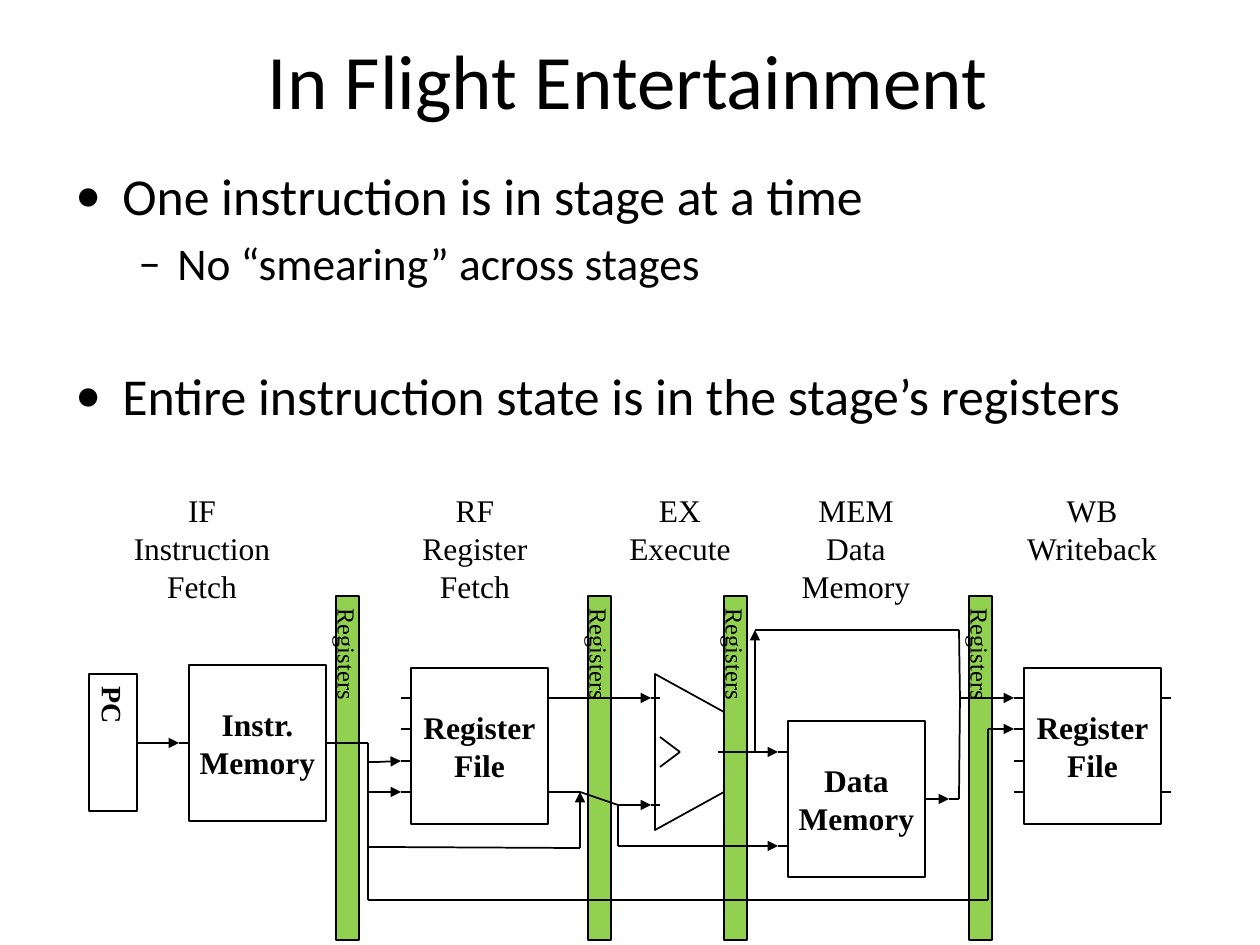
from dataclasses import dataclass
from itertools import pairwise

from lxml import etree
from pptx import Presentation
from pptx.dml.color import RGBColor
from pptx.enum.shapes import MSO_CONNECTOR, MSO_SHAPE
from pptx.enum.text import MSO_ANCHOR, MSO_AUTO_SIZE, PP_ALIGN
from pptx.oxml.ns import qn
from pptx.util import Emu, Pt

SCALE = 914400 / 126
BLACK, WHITE, GREEN = "000000", "FFFFFF", "92D050"
SERIF, SANS = "Times New Roman", "Calibri"
STUB = 10


@dataclass(frozen=True)
class Block:
    """A box of the datapath and the heights of its ports."""
    text: str
    left: int
    top: int
    inputs: tuple[int, ...] = ()
    outputs: tuple[int, ...] = ()
    width: int = 137
    height: int = 156
    size: int = 18
    fill: str = WHITE
    bold: bool = True
    vertical: bool = False


@dataclass(frozen=True)
class Route:
    """A wire through several points, with an optional arrowhead at its end."""
    points: tuple[tuple[int, int], ...]
    arrow: bool = True


@dataclass(frozen=True)
class StageLabel:
    """The heading of a pipeline stage."""
    text: str
    left: int
    width: int


@dataclass(frozen=True)
class Bullet:
    """One bulleted line; indents in pixels, sizes in points."""
    text: str
    mark: str
    size: float
    margin: int
    hanging: int
    before: float


REGISTER_BARS = [Block("Registers", x, 596, width=23, height=344, size=14,
                       fill=GREEN, bold=False, vertical=True)
                 for x in (336, 588, 724, 969)]
FILE_INPUTS, FILE_OUTPUTS = (698, 729, 761, 792), (698, 792)
BLOCKS = [
    Block("PC", 89, 674, outputs=(743,), width=48, height=137, size=16, vertical=True),
    Block("Data\nMemory", 788, 721, (752, 846), (799,)),
    Block("Instr.\nMemory", 189, 665, (743,), (743,)),
    Block("Register\nFile", 411, 668, FILE_INPUTS, FILE_OUTPUTS),
    Block("Register\nFile", 1024, 668, FILE_INPUTS, FILE_OUTPUTS),
]
ALU_OUTLINE = ((655, 830), (724, 792), (724, 712), (655, 674))
ROUTES = [
    # ALU mark and ports
    Route(((660, 737), (680, 752), (660, 767)), False),
    Route(((651, 698), (660, 698)), False),
    Route(((651, 805), (660, 805)), False),
    Route(((718, 752), (728, 752)), False),
    # Fetch to register file
    Route(((147, 743), (179, 743))),
    Route(((336, 743), (359, 743), (368, 743)), False),
    Route(((368, 743), (368, 792), (378, 792), (401, 792))),
    Route(((368, 743), (368, 762), (378, 762), (401, 761))),
    # Immediate value and register file to ALU
    Route(((368, 743), (368, 847), (378, 847), (571, 848), (580, 848), (580, 792))),
    Route(((558, 698), (651, 698))),
    Route(((558, 792), (571, 792), (580, 792), (618, 805), (628, 805), (651, 805))),
    Route(((618, 805), (618, 846), (628, 846), (778, 846))),
    # ALU to data memory, and around it
    Route(((728, 752), (746, 752), (755, 752), (778, 752))),
    Route(((755, 752), (755, 630))),
    Route(((755, 630), (765, 630), (949, 630), (959, 630), (960, 698)), False),
    Route(((935, 799), (949, 799))),
    Route(((949, 799), (959, 799), (960, 698)), False),
    Route(((960, 698), (969, 698), (1014, 698))),
    # Destination register to writeback
    Route(((368, 847), (368, 900), (378, 900), (978, 900), (988, 900),
           (988, 729), (997, 729), (1014, 729))),
]
STAGES = [
    StageLabel("IF\nInstruction\nFetch", 112, 180),
    StageLabel("RF\nRegister\nFetch", 405, 140),
    StageLabel("EX\nExecute", 610, 140),
    StageLabel("MEM\nData\nMemory", 786, 140),
    StageLabel("WB\nWriteback", 1007, 170),
]
BULLETS = [
    Bullet("One instruction is in stage at a time", "•", 29.6, 47, 47, 5.9),
    Bullet("No “smearing” across stages", "–", 25.9, 102, 39, 5.2),
    Bullet("Entire instruction state is in the stage’s registers", "•", 29.6, 47, 47, 42.3),
]


def px(value: float) -> Emu:
    """Turn pixels into EMU."""
    return Emu(round(value * SCALE))


def color(value: str) -> RGBColor:
    """Turn a hex string into a colour."""
    return RGBColor.from_string(value)


def set_font(paragraph, name: str, size: float, bold: bool = False) -> None:
    """Format the text of a paragraph."""
    font = paragraph.font
    font.name, font.size, font.bold = name, Pt(size), bold
    font.color.rgb = color(BLACK)


def write_centered(frame, text: str, size: float, bold: bool = False) -> None:
    """Write centred serif lines that do not wrap."""
    frame.word_wrap = False
    frame.text = text
    for paragraph in frame.paragraphs:
        paragraph.alignment = PP_ALIGN.CENTER
        set_font(paragraph, SERIF, size, bold)


def style_shape(shape, fill: str) -> None:
    """Give a shape a flat fill and a thin black outline."""
    shape.shadow.inherit = False
    shape.fill.solid()
    shape.fill.fore_color.rgb = color(fill)
    shape.line.color.rgb = color(BLACK)
    shape.line.width = Pt(1)


def draw_route(slide, route: Route) -> None:
    """Draw each leg of a wire as a straight connector."""
    for start, end in pairwise(route.points):
        wire = slide.shapes.add_connector(
            MSO_CONNECTOR.STRAIGHT, px(start[0]), px(start[1]), px(end[0]), px(end[1]))
        wire.line.color.rgb = color(BLACK)
        wire.line.width = Pt(1)
        if route.arrow and end == route.points[-1]:
            etree.SubElement(wire.line._get_or_add_ln(), qn("a:tailEnd"), type="triangle")
        etree.SubElement(wire._element.spPr, qn("a:effectLst"))


def draw_block(slide, block: Block) -> None:
    """Draw a box with its text and port stubs."""
    shape = slide.shapes.add_shape(MSO_SHAPE.RECTANGLE, px(block.left), px(block.top),
                                   px(block.width), px(block.height))
    style_shape(shape, block.fill)
    frame = shape.text_frame
    frame.vertical_anchor = MSO_ANCHOR.MIDDLE
    write_centered(frame, block.text, block.size, block.bold)
    if block.vertical:
        frame._txBody.bodyPr.set("vert", "eaVert")
    right = block.left + block.width
    for x, heights in ((block.left - STUB, block.inputs), (right, block.outputs)):
        for y in heights:
            draw_route(slide, Route(((x, y), (x + STUB, y)), False))


def draw_alu(slide) -> None:
    """Draw the outline of the ALU."""
    builder = slide.shapes.build_freeform(*ALU_OUTLINE[0], scale=SCALE)
    builder.add_line_segments(ALU_OUTLINE[1:], close=True)
    style_shape(builder.convert_to_shape(), WHITE)


def draw_stage(slide, stage: StageLabel) -> None:
    """Write the heading of a stage."""
    lines = stage.text.count("\n") + 1
    box = slide.shapes.add_textbox(px(stage.left), px(485), px(stage.width),
                                   px(12 + 38 * lines))
    write_centered(box.text_frame, stage.text, 18)
    box.text_frame.auto_size = MSO_AUTO_SIZE.NONE


def write_title(slide) -> None:
    """Place and format the title."""
    title = slide.shapes.title
    title.left, title.top, title.width, title.height = px(61), px(0), px(1134), px(158)
    title.text_frame.text = "In Flight Entertainment"
    title.text_frame.vertical_anchor = MSO_ANCHOR.MIDDLE
    paragraph = title.text_frame.paragraphs[0]
    paragraph.alignment = PP_ALIGN.CENTER
    set_font(paragraph, SANS, 44)


def write_bullets(slide) -> None:
    """Write the bulleted lines."""
    frame = slide.shapes.add_textbox(px(63), px(158), px(1134), px(315)).text_frame
    frame.word_wrap = True
    frame.text = "\n".join(bullet.text for bullet in BULLETS)
    for paragraph, bullet in zip(frame.paragraphs, BULLETS):
        set_font(paragraph, SANS, bullet.size)
        paragraph.space_before = Pt(bullet.before)
        properties = paragraph._p.get_or_add_pPr()
        properties.set("marL", str(px(bullet.margin)))
        properties.set("indent", str(-px(bullet.hanging)))
        defaults = properties.find(qn("a:defRPr"))
        defaults.addprevious(etree.Element(qn("a:buFont"), typeface=SANS))
        defaults.addprevious(etree.Element(qn("a:buChar"), char=bullet.mark))


def main() -> None:
    """Build and save the slide."""
    deck = Presentation()
    deck.slide_width, deck.slide_height = px(1260), px(945)
    slide = deck.slides.add_slide(deck.slide_layouts[5])
    write_title(slide)
    write_bullets(slide)
    for bar in REGISTER_BARS:
        draw_block(slide, bar)
    draw_alu(slide)
    for block in BLOCKS:
        draw_block(slide, block)
    for route in ROUTES:
        draw_route(slide, route)
    for stage in STAGES:
        draw_stage(slide, stage)
    deck.save("out.pptx")


main()
